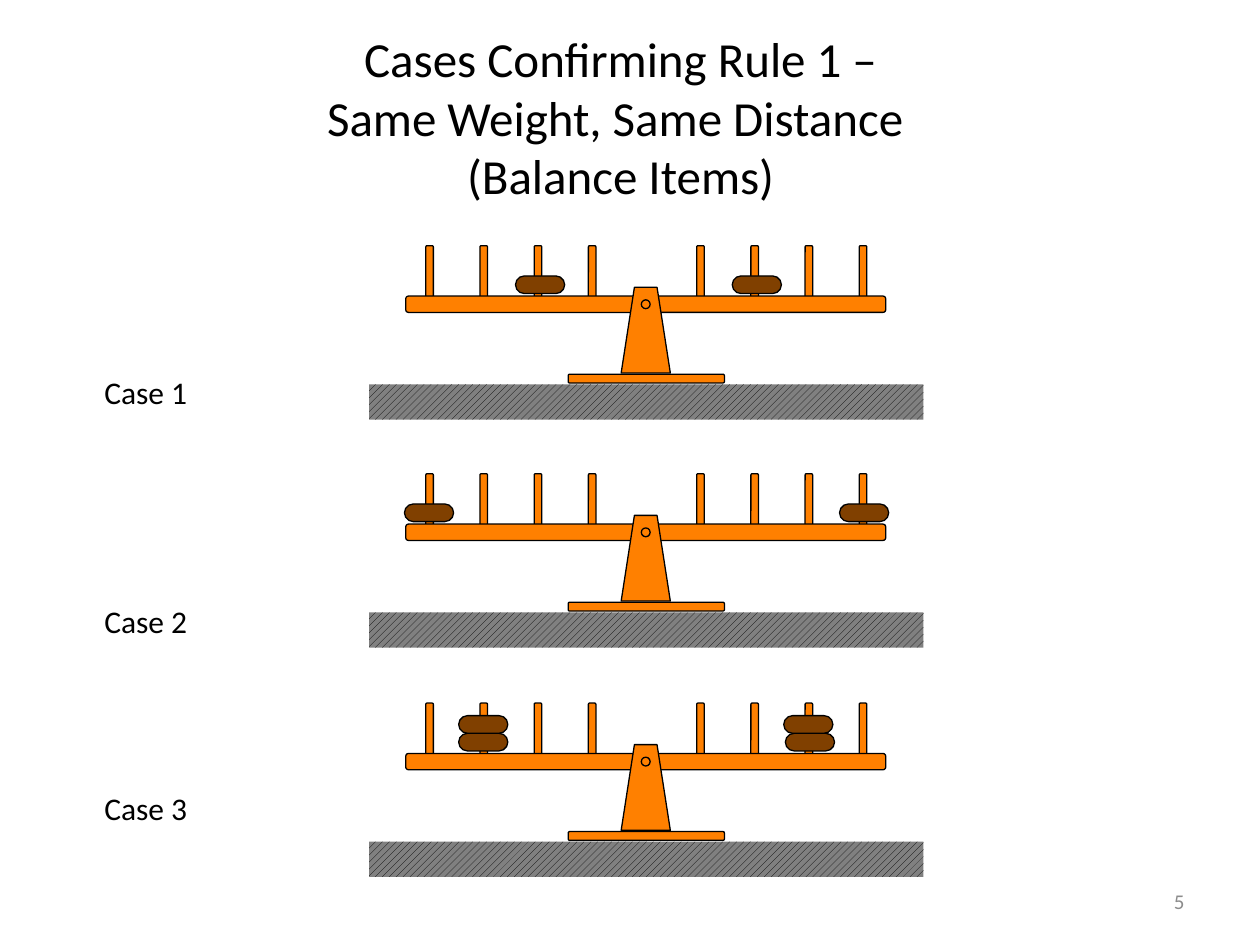
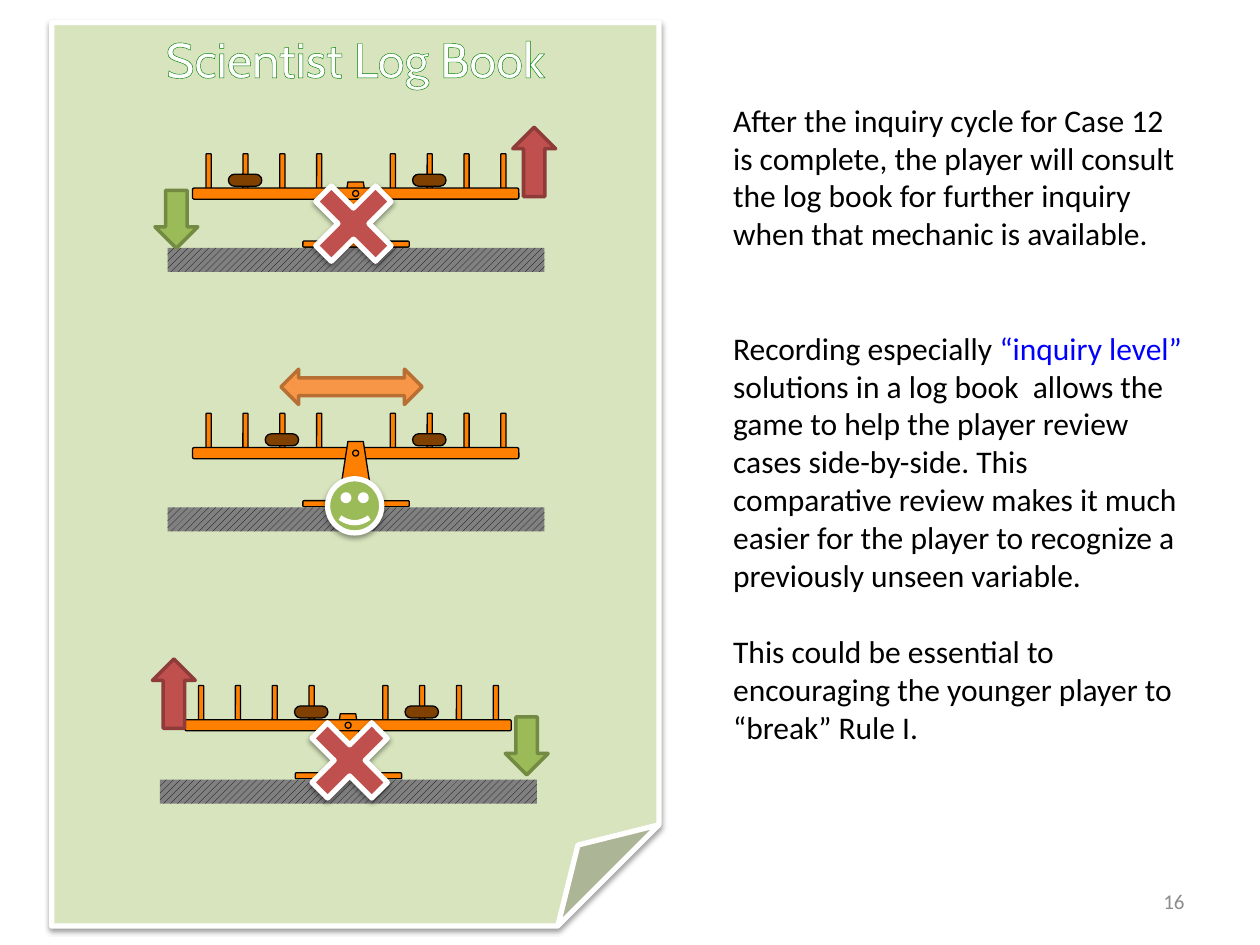
"""Build two slides about balance-beam cases."""
from lxml import etree
from pptx import Presentation
from pptx import util as u
from pptx.dml.color import RGBColor
from pptx.enum import dml, shapes, text
from pptx.oxml.ns import qn

COLOURS = {
    "ink": "000000", "number": "8C8C8C", "link": "0000FF", "white": "FFFFFF",
    "beam": "FF8000", "weight": "804000", "ground": "808080",
    "paper": "D7E4BD", "heading_line": "008000",
    "red": "C0504D", "red_line": "8E3B39", "green": "9BBB59",
    "green_line": "738A42", "orange": "F79646", "orange_line": "B76F34",
}
SHAPE = shapes.MSO_SHAPE
ALIGN = text.PP_ALIGN
ANCHOR = text.MSO_ANCHOR
POST_SLOTS = (0, 1, 2, 3, 5, 6, 7, 8)
POST_PITCH = 0.43
LOG_SCALE = 0.68


def colour(name):
    """Return the named colour."""
    return RGBColor.from_string(COLOURS[name])


def apply_format(target, **values):
    """Set each given attribute on the target."""
    for name, value in values.items():
        setattr(target, name, value)


def place(shape, box):
    """Move and size a shape to a box in inches."""
    sides = map(u.Inches, box)
    apply_format(shape, **dict(zip(("left", "top", "width", "height"), sides)))


def add_run(paragraph, content, size=18, ink="ink", font="Calibri"):
    """Add formatted text to a paragraph."""
    run = paragraph.add_run()
    run.text = content
    apply_format(run.font, name=font, size=u.Pt(size))
    run.font.color.rgb = colour(ink)
    return run


def add_textbox(slide, box, **frame_format):
    """Add an empty text box and return its text frame."""
    frame = slide.shapes.add_textbox(*map(u.Inches, box)).text_frame
    apply_format(frame, **frame_format)
    return frame


def add_slide_number(slide, number):
    """Add the grey number at the bottom right."""
    frame = add_textbox(slide, (7.17, 6.95, 2.33, 0.4), word_wrap=True,
                        vertical_anchor=ANCHOR.MIDDLE)
    frame.paragraphs[0].alignment = ALIGN.RIGHT
    add_run(frame.paragraphs[0], str(number), 12, "number")


def add_shape(parent, kind, box, fill, line="ink", width=0.75, adjust=None, rotation=0):
    """Add a filled and outlined preset shape without a shadow."""
    shape = parent.shapes.add_shape(kind, *map(u.Inches, box))
    shape.shadow.inherit = False
    shape.rotation = rotation
    shape.fill.solid()
    shape.fill.fore_color.rgb = colour(fill)
    shape.line.color.rgb = colour(line)
    shape.line.width = u.Pt(width)
    if adjust is not None:
        shape.adjustments[0] = adjust
    return shape


def add_shadow(shape):
    """Give a shape a soft shadow below it."""
    effects = shape._element.spPr.find(qn("a:effectLst"))
    shadow = etree.SubElement(effects, qn("a:outerShdw"), blurRad=str(u.Pt(3.1)),
                              dist=str(u.Pt(1.6)), dir="5400000", rotWithShape="0")
    ink = etree.SubElement(shadow, qn("a:srgbClr"), val=COLOURS["ink"])
    etree.SubElement(ink, qn("a:alpha"), val="38000")


def add_badge(slide, kind, box, fill, **options):
    """Add a white-edged shape with a shadow."""
    shape = add_shape(slide, kind, box, fill, "white", 3, **options)
    add_shadow(shape)
    return shape


def add_balance(slide, left, top, weights, scale=1, beam_in_front=False):
    """Draw a balance with weights given as (slot, level) pairs."""
    group = slide.shapes.add_group_shape()

    def part(kind, box, fill="beam", adjust=None):
        """Add one part, measured from the corner of the balance."""
        x, y, width, height = (scale * length for length in box)
        return add_shape(group, kind, (left + x, top + y, width, height),
                         fill, adjust=adjust)

    def stand():
        """Add the foot and the pillar."""
        part(SHAPE.ROUNDED_RECTANGLE, (1.58, 1.02, 1.24, 0.07), adjust=0.17)
        part(SHAPE.TRAPEZOID, (2, 0.33, 0.39, 0.68), adjust=0.27)

    def beam():
        """Add the posts and the beam."""
        for slot in POST_SLOTS:
            part(SHAPE.ROUNDED_RECTANGLE,
                 (0.45 + POST_PITCH * slot, 0, 0.06, 0.42), adjust=0.17)
        part(SHAPE.ROUNDED_RECTANGLE, (0.29, 0.4, 3.81, 0.13), adjust=0.17)

    for draw in (stand, beam) if beam_in_front else (beam, stand):
        draw()
    part(SHAPE.OVAL, (2.16, 0.43, 0.07, 0.07))
    ground = part(SHAPE.RECTANGLE, (0, 1.1, 4.4, 0.28))
    ground.line.fill.background()
    ground.fill.patterned()
    ground.fill.pattern = dml.MSO_PATTERN.WIDE_UPWARD_DIAGONAL
    ground.fill.fore_color.rgb = colour("ink")
    ground.fill.back_color.rgb = colour("ground")
    for slot, level in weights:
        part(SHAPE.ROUNDED_RECTANGLE,
             (0.28 + POST_PITCH * slot, 0.24 - 0.14 * level, 0.39, 0.14), "weight", 0.5)


def add_title(slide, lines):
    """Fill the title placeholder, one line break between lines."""
    title = slide.shapes.title
    place(title, (0.23, 0.3, 9.39, 1.25))
    apply_format(title.text_frame, auto_size=text.MSO_AUTO_SIZE.NONE,
                 vertical_anchor=ANCHOR.MIDDLE)
    paragraph = title.text_frame.paragraphs[0]
    paragraph.alignment = ALIGN.CENTER
    for index, line in enumerate(lines):
        if index:
            paragraph.add_line_break()
        add_run(paragraph, line, 28)


def add_log_book(slide):
    """Add the folded page with its outlined heading."""
    page = add_badge(slide, SHAPE.FOLDED_CORNER, (0.41, 0.18, 4.82, 7.17), "paper")
    page.text_frame.vertical_anchor = ANCHOR.TOP
    paragraph = page.text_frame.paragraphs[0]
    paragraph.alignment = ALIGN.CENTER
    run = add_run(paragraph, "Scientist Log Book", 28, "white", "Cabin")
    outline = etree.Element(qn("a:ln"), w=str(u.Pt(0.75)))
    fill = etree.SubElement(outline, qn("a:solidFill"))
    etree.SubElement(fill, qn("a:srgbClr"), val=COLOURS["heading_line"])
    run.font._element.insert(0, outline)


def add_move_arrow(slide, left, top, upward):
    """Add a red arrow up or a green arrow down beside a beam."""
    name, height, rotation = ("red", 0.55, 0) if upward else ("green", 0.46, 180)
    add_shape(slide, SHAPE.UP_ARROW, (left, top, 0.34, height), name,
              name + "_line", 2, rotation=rotation)


def add_explanation(slide, paragraphs):
    """Add paragraphs given as (space before, runs)."""
    frame = add_textbox(slide, (5.72, 0.75, 3.78, 5.25), word_wrap=True)
    for index, (space, runs) in enumerate(paragraphs):
        paragraph = frame.add_paragraph() if index else frame.paragraphs[0]
        paragraph.space_before = u.Pt(space)
        for content, ink in runs:
            add_run(paragraph, content, ink=ink)


def build_cases_slide(presentation):
    """Build the slide with three balanced cases."""
    slide = presentation.slides.add_slide(presentation.slide_layouts[5])
    add_title(slide, ("Cases Confirming Rule 1 –", "Same Weight, Same Distance ",
                      "(Balance Items)"))
    add_slide_number(slide, 5)
    cases = (
        (2.91, 1.95, ((2.05, 0), (6.05, 0))),
        (4.73, 3.76, ((0, 0), (8.03, 0))),
        (6.21, 5.58, ((1, 0), (7.03, 0), (1, 1), (7, 1))),
    )
    for number, (label_top, balance_top, weights) in enumerate(cases, 1):
        label = add_textbox(slide, (0.73, label_top, 0.87, 0.4), word_wrap=False)
        add_run(label.paragraphs[0], f"Case {number}")
        add_balance(slide, 2.93, balance_top, weights)


def build_log_slide(presentation):
    """Build the slide with the scientist's log book."""
    slide = presentation.slides.add_slide(presentation.slide_layouts[6])
    add_log_book(slide)
    add_slide_number(slide, 16)
    entries = ((1.33, 1.22, 1, True), (1.33, 3.28, 2, False), (1.27, 5.44, 3, True))
    for left, top, slot, tips in entries:
        add_balance(slide, left, top, ((slot, 0), (6, 0)), LOG_SCALE, tips)
    add_shape(slide, SHAPE.LEFT_RIGHT_ARROW, (2.23, 2.93, 1.12, 0.28),
              "orange", "orange_line", 2)
    for left, top, upward in ((4.07, 1.01, True), (1.23, 1.51, False),
                              (1.21, 5.23, True), (4.01, 5.69, False)):
        add_move_arrow(slide, left, top, upward)
    add_badge(slide, SHAPE.SMILEY_FACE, (2.6, 3.8, 0.43, 0.43), "green")
    for left, top in ((2.47, 1.44), (2.44, 5.7)):
        add_badge(slide, SHAPE.CROSS, (left, top, 0.67, 0.67), "red",
                  adjust=0.37, rotation=45)
    add_explanation(slide, (
        (0, (("After the inquiry cycle for Case 12 is complete, the player will consult "
              "the log book for further inquiry when that mechanic is available.", "ink"),)),
        (44, (("Recording especially ", "ink"), ("“inquiry level” ", "link"),
              ("solutions in a log book  allows the game to help the player review cases "
               "side-by-side. This comparative review makes it much easier for the player "
               "to recognize a previously unseen variable.", "ink"))),
        (22, (("This could be essential to encouraging the younger player to "
               "“break” Rule I.", "ink"),)),
    ))


def main():
    """Build and save the presentation."""
    presentation = Presentation()
    apply_format(presentation, slide_width=u.Inches(10), slide_height=u.Inches(7.5))
    build_cases_slide(presentation)
    build_log_slide(presentation)
    presentation.save("out.pptx")


if __name__ == "__main__":
    main()
